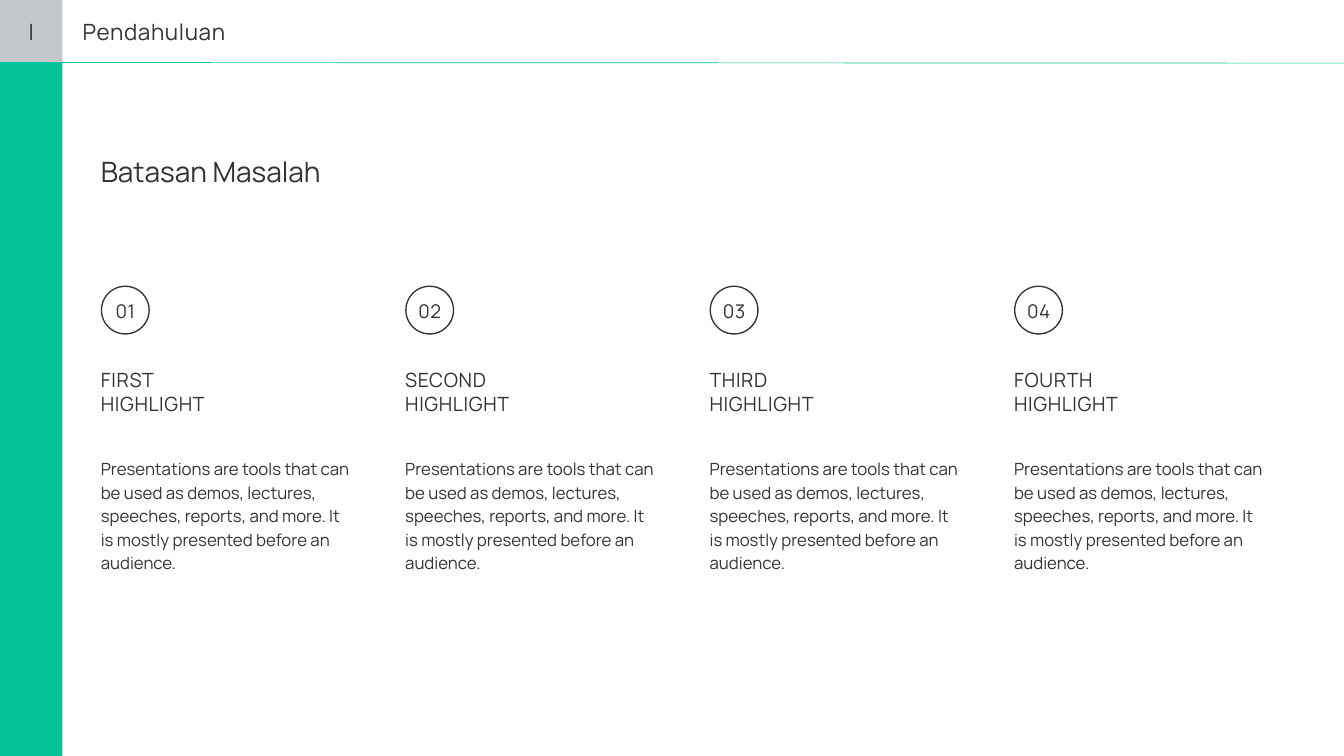
from dataclasses import dataclass

import pptx
import pptx.dml.color
import pptx.enum.shapes
import pptx.enum.text
import pptx.oxml.ns
import pptx.util
from lxml import etree

Inches = pptx.util.Inches
Pt = pptx.util.Pt
ALIGN = pptx.enum.text.PP_ALIGN
SHAPE = pptx.enum.shapes.MSO_SHAPE


@dataclass(frozen=True)
class TextStyle:
    size: float
    leading: float
    tracking: float = 0
    align: ALIGN = ALIGN.LEFT


@dataclass(frozen=True)
class Theme:
    font: str = "Manrope"
    ink: str = "333333"
    green: str = "04C49A"
    rule: str = "00C49A"
    grey: str = "C3C7CA"
    chapter: TextStyle = TextStyle(24, 28.8, 0.7)
    chapter_number: TextStyle = TextStyle(24, 28.8, 0.7, ALIGN.CENTER)
    heading: TextStyle = TextStyle(30, 66.4)
    badge: TextStyle = TextStyle(20.2, 28.3, 0.6, ALIGN.CENTER)
    highlight: TextStyle = TextStyle(21, 25.2, 0.7)
    body: TextStyle = TextStyle(18, 25.2)


class SlideBuilder:
    def __init__(self, slide, theme):
        self.slide = slide
        self.theme = theme

    def set_text(self, box, lines, style):
        """Fill a text shape with one paragraph per line, without margins."""
        frame = box.text_frame
        frame.margin_left = frame.margin_right = 0
        frame.margin_top = frame.margin_bottom = 0
        frame.word_wrap = True
        frame.vertical_anchor = pptx.enum.text.MSO_ANCHOR.TOP
        frame.auto_size = pptx.enum.text.MSO_AUTO_SIZE.SHAPE_TO_FIT_TEXT
        frame.text = "\n".join(lines)
        for paragraph in frame.paragraphs:
            paragraph.alignment = style.align
            paragraph.line_spacing = Pt(style.leading)
            paragraph.space_before = Pt(0)
            font = paragraph.font
            font.name = self.theme.font
            font.size = Pt(style.size)
            font.color.rgb = pptx.dml.color.RGBColor.from_string(self.theme.ink)
            if style.tracking:
                defaults = paragraph._p.pPr.find(pptx.oxml.ns.qn("a:defRPr"))
                defaults.set("spc", str(round(style.tracking * 100)))

    def text(self, left, top, width, height, lines, style):
        box = self.slide.shapes.add_textbox(
            Inches(left), Inches(top), Inches(width), Inches(height))
        self.set_text(box, lines, style)

    def title(self, left, top, width, height, line, style):
        title = self.slide.shapes.title
        title.left, title.top = Inches(left), Inches(top)
        title.width, title.height = Inches(width), Inches(height)
        self.set_text(title, [line], style)

    def shape(self, kind, left, top, width, height, color):
        shape = self.slide.shapes.add_shape(
            kind, Inches(left), Inches(top), Inches(width), Inches(height))
        shape.shadow.inherit = False
        shape.fill.solid()
        shape.fill.fore_color.rgb = pptx.dml.color.RGBColor.from_string(color)
        shape.line.fill.background()
        return shape

    def ring(self, left, top, size, thickness):
        ring = self.shape(SHAPE.DONUT, left, top, size, size, self.theme.ink)
        ring.adjustments[0] = thickness / size

    def line(self, x1, y1, x2, y2, color, width):
        line = self.slide.shapes.add_connector(
            pptx.enum.shapes.MSO_CONNECTOR.STRAIGHT,
            Inches(x1), Inches(y1), Inches(x2), Inches(y2))
        line.line.color.rgb = pptx.dml.color.RGBColor.from_string(color)
        line.line.width = Pt(width)
        etree.SubElement(line._element.spPr, pptx.oxml.ns.qn("a:effectLst"))


HIGHLIGHTS = ["FIRST", "SECOND", "THIRD", "FOURTH"]
DESCRIPTION = ("Presentations are tools that can be used as demos, lectures, "
               "speeches, reports, and more. It is mostly presented before "
               "an audience.")
LEFT, PITCH, COLUMN_WIDTH = 1.5, 4.53, 3.78
SLIDE_WIDTH, SLIDE_HEIGHT = 20, 11.25
SIDEBAR_WIDTH, HEADER_HEIGHT = 0.93, 0.94


def main():
    presentation = pptx.Presentation()
    presentation.slide_width = Inches(SLIDE_WIDTH)
    presentation.slide_height = Inches(SLIDE_HEIGHT)
    title_only = presentation.slide_layouts[5]
    theme = Theme()
    page = SlideBuilder(presentation.slides.add_slide(title_only), theme)

    page.shape(SHAPE.RECTANGLE, 0, 0, SIDEBAR_WIDTH, HEADER_HEIGHT, theme.grey)
    page.shape(SHAPE.RECTANGLE, 0, HEADER_HEIGHT, SIDEBAR_WIDTH,
               SLIDE_HEIGHT - HEADER_HEIGHT, theme.green)
    page.line(0, 0.93, SLIDE_WIDTH, HEADER_HEIGHT, theme.rule, 0.75)
    page.text(1.23, 0.27, 11.58, 0.4, ["Pendahuluan"], theme.chapter)
    page.text(0.17, 0.27, 0.59, 0.4, ["I"], theme.chapter_number)
    page.title(LEFT, 1.87, 9.76, 0.82, "Batasan Masalah", theme.heading)

    for index, ordinal in enumerate(HIGHLIGHTS):
        left = LEFT + index * PITCH
        page.ring(left, 4.25, 0.73, 0.02)
        page.text(left + 0.09, 4.41, 0.55, 0.36, [f"{index + 1:02}"], theme.badge)
        page.text(left, 5.48, COLUMN_WIDTH, 0.69, [ordinal, "HIGHLIGHT"],
                  theme.highlight)
        page.text(left, 6.78, COLUMN_WIDTH, 1.69, [DESCRIPTION], theme.body)

    presentation.save("out.pptx")


if __name__ == "__main__":
    main()
